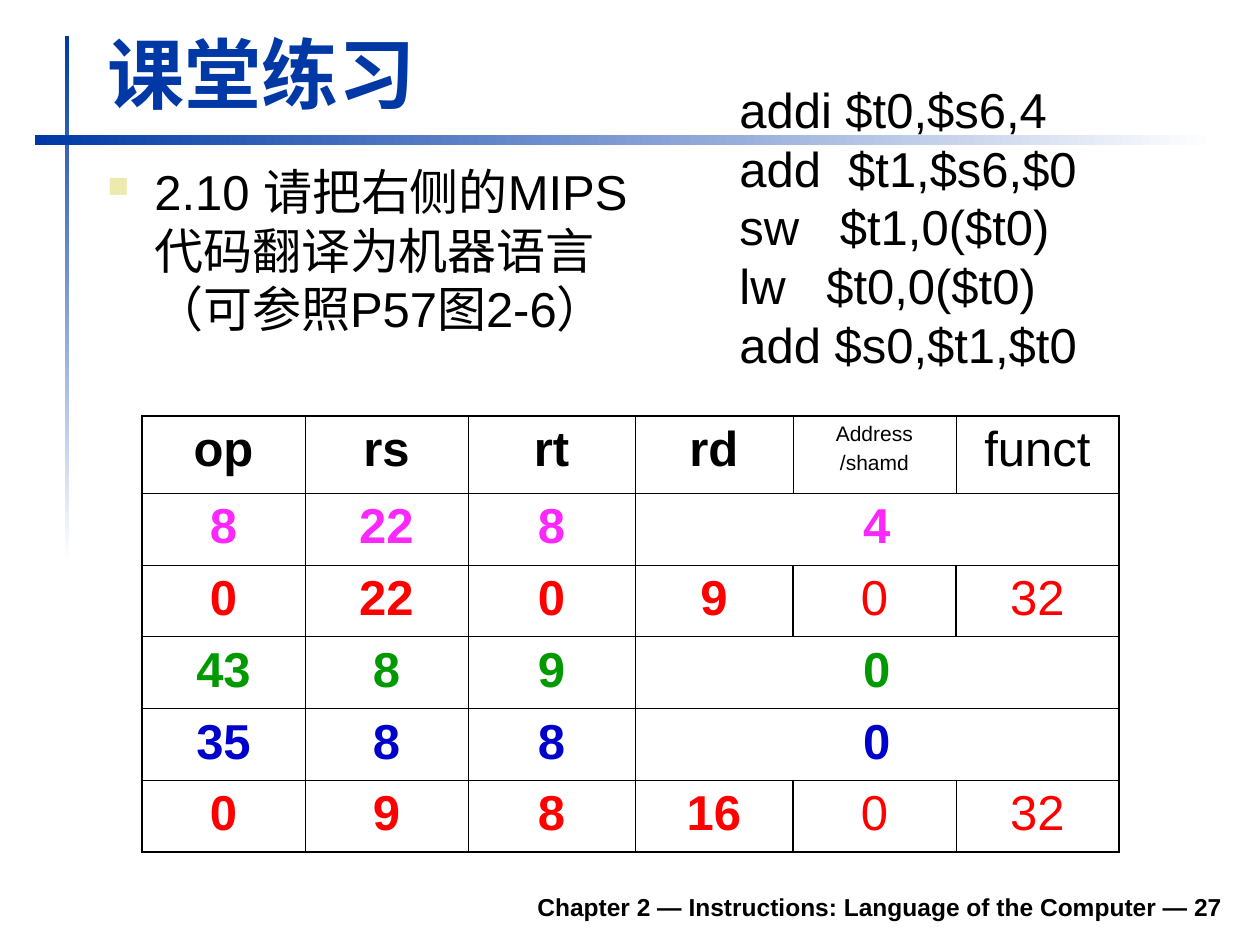
from dataclasses import dataclass
from typing import Any

from lxml.etree import SubElement
from pptx import Presentation
from pptx.dml.color import RGBColor
from pptx.enum.shapes import MSO_SHAPE
from pptx.enum.text import MSO_ANCHOR, PP_ALIGN
from pptx.oxml.ns import qn
from pptx.util import Emu, Pt

FONT = "Arial"
BLACK, BLUE, WHITE = "000000", "0039A6", "FFFFFF"
RED, PINK, GREEN, NAVY = "FF0000", "FB28FE", "009900", "0000CC"
THIN, THICK = 0.45, 1.08
NO_STYLE = "{2D5ABB26-0587-4C30-8999-92F81FD0307C}"


@dataclass(frozen=True)
class Box:
    x: int
    y: int
    w: int
    h: int


@dataclass(frozen=True)
class Row:
    """A table row; a short row merges its last cell to the right edge."""
    color: str
    texts: tuple[str, ...]
    height: int
    thick_edges: tuple[int, ...] = ()


COLUMNS = (163, 163, 167, 158, 163, 163)
ROWS = (
    Row(BLACK, ("op", "rs", "rt", "rd", "Address\n/shamd", "funct"), 77),
    Row(PINK, ("8", "22", "8", "4"), 72),
    Row(RED, ("0", "22", "0", "9", "0", "32"), 71, (4, 5)),
    Row(GREEN, ("43", "8", "9", "0"), 72),
    Row(NAVY, ("35", "8", "8", "0"), 71),
    Row(RED, ("0", "9", "8", "16", "0", "32"), 72, (4,)),
)
CODE = (
    "addi $t0,$s6,4",
    "add  $t1,$s6,$0",
    "sw   $t1,0($t0)",
    "lw   $t0,0($t0)",
    "add $s0,$t1,$t0",
)


def px(n: int) -> Emu:
    return Emu(round(n * 914400 / 126))


def rgb(color: str) -> RGBColor:
    return RGBColor.from_string(color)


def place(box: Box) -> tuple[Emu, ...]:
    return px(box.x), px(box.y), px(box.w), px(box.h)


def add_text(tf: Any, lines: tuple[str, ...], size: int, color: str = BLACK,
             bold: bool = False, align: PP_ALIGN = PP_ALIGN.LEFT,
             gap: int = 0) -> None:
    for i, line in enumerate(lines):
        p = tf.add_paragraph() if i else tf.paragraphs[0]
        p.alignment = align
        if i and gap:
            p.space_before = Pt(gap)
        r = p.add_run()
        r.text = line
        r.font.name, r.font.size, r.font.bold = FONT, Pt(size), bold
        r.font.color.rgb = rgb(color)


def add_box(s: Any, box: Box, anchor: MSO_ANCHOR = MSO_ANCHOR.TOP) -> Any:
    tf = s.shapes.add_textbox(*place(box)).text_frame
    tf.word_wrap = True
    tf.vertical_anchor = anchor
    return tf


def add_bar(s: Any, box: Box, angle: int) -> None:
    sp = s.shapes.add_shape(MSO_SHAPE.RECTANGLE, *place(box))
    sp.shadow.inherit = False
    sp.line.fill.background()
    sp.fill.gradient()
    sp.fill.gradient_angle = angle
    for stop, color in zip(sp.fill.gradient_stops, (BLUE, WHITE)):
        stop.color.rgb = rgb(color)


def add_bullet(p: Any, indent: int, char: str, color: str, percent: int) -> None:
    pPr = p._p.get_or_add_pPr()
    pPr.set("marL", str(px(indent)))
    pPr.set("indent", str(-px(indent)))
    SubElement(SubElement(pPr, qn("a:buClr")), qn("a:srgbClr"), val=color)
    SubElement(pPr, qn("a:buSzPct"), val=str(percent * 1000))
    SubElement(pPr, qn("a:buChar"), char=char)


def set_borders(cell: Any, widths: dict[str, float]) -> None:
    tcPr = cell._tc.get_or_add_tcPr()
    for side, width in widths.items():
        ln = SubElement(tcPr, qn(f"a:ln{side}"), w=str(int(Pt(width))))
        SubElement(SubElement(ln, qn("a:solidFill")), qn("a:srgbClr"), val=BLACK)


def add_instruction_table(s: Any, x: int, y: int) -> None:
    n_rows, n_cols = len(ROWS), len(COLUMNS)
    box = Box(x, y, sum(COLUMNS), sum(row.height for row in ROWS))
    table = s.shapes.add_table(n_rows, n_cols, *place(box)).table
    table.first_row = table.horz_banding = False
    table._tbl.tblPr.find(qn("a:tableStyleId")).text = NO_STYLE
    for column, width in zip(table.columns, COLUMNS):
        column.width = px(width)

    for i, row in enumerate(ROWS):
        table.rows[i].height = px(row.height)
        thick = (0, n_cols, *row.thick_edges)
        for j, text in enumerate(row.texts):
            cell = table.cell(i, j)
            end = n_cols if j == len(row.texts) - 1 else j + 1
            if end > j + 1:
                cell.merge(table.cell(i, end - 1))
            lines = tuple(text.split("\n"))
            add_text(cell.text_frame, lines, 12 if len(lines) > 1 else 28,
                     row.color, j < 4, PP_ALIGN.CENTER, gap=3)
            set_borders(cell, {
                "L": THICK if j in thick else THIN,
                "R": THICK if end in thick else THIN,
                "T": THICK if i == 0 else THIN,
                "B": THICK if i == n_rows - 1 else THIN,
            })
            cell.fill.background()


def main() -> None:
    prs = Presentation()
    prs.slide_width, prs.slide_height = px(1260), px(945)
    s = prs.slides.add_slide(prs.slide_layouts[6])

    # Crossing gradient bars
    add_bar(s, Box(65, 36, 4, 525), 270)
    add_bar(s, Box(35, 135, 1180, 10), 0)

    # Title
    tf = add_box(s, Box(95, 20, 1138, 105), MSO_ANCHOR.BOTTOM)
    add_text(tf, ("课堂练习",), 44, BLUE, True)

    # Exercise
    tf = add_box(s, Box(95, 155, 559, 704))
    add_bullet(tf.paragraphs[0], 47, "■", "ECEAAC", 60)
    add_text(tf, ("2.10 请把右侧的MIPS代码翻译为机器语言（可参照P57图2-6）",), 28)

    # Footer
    tf = add_box(s, Box(233, 879, 1002, 49), MSO_ANCHOR.BOTTOM)
    add_text(tf, ("Chapter 2 — Instructions: Language of the Computer — 27",),
             14, bold=True, align=PP_ALIGN.RIGHT)

    # Machine code fields
    add_instruction_table(s, 142, 416)

    # Assembly code
    add_text(add_box(s, Box(727, 73, 420, 307)), CODE, 28)

    prs.save("out.pptx")


if __name__ == "__main__":
    main()
